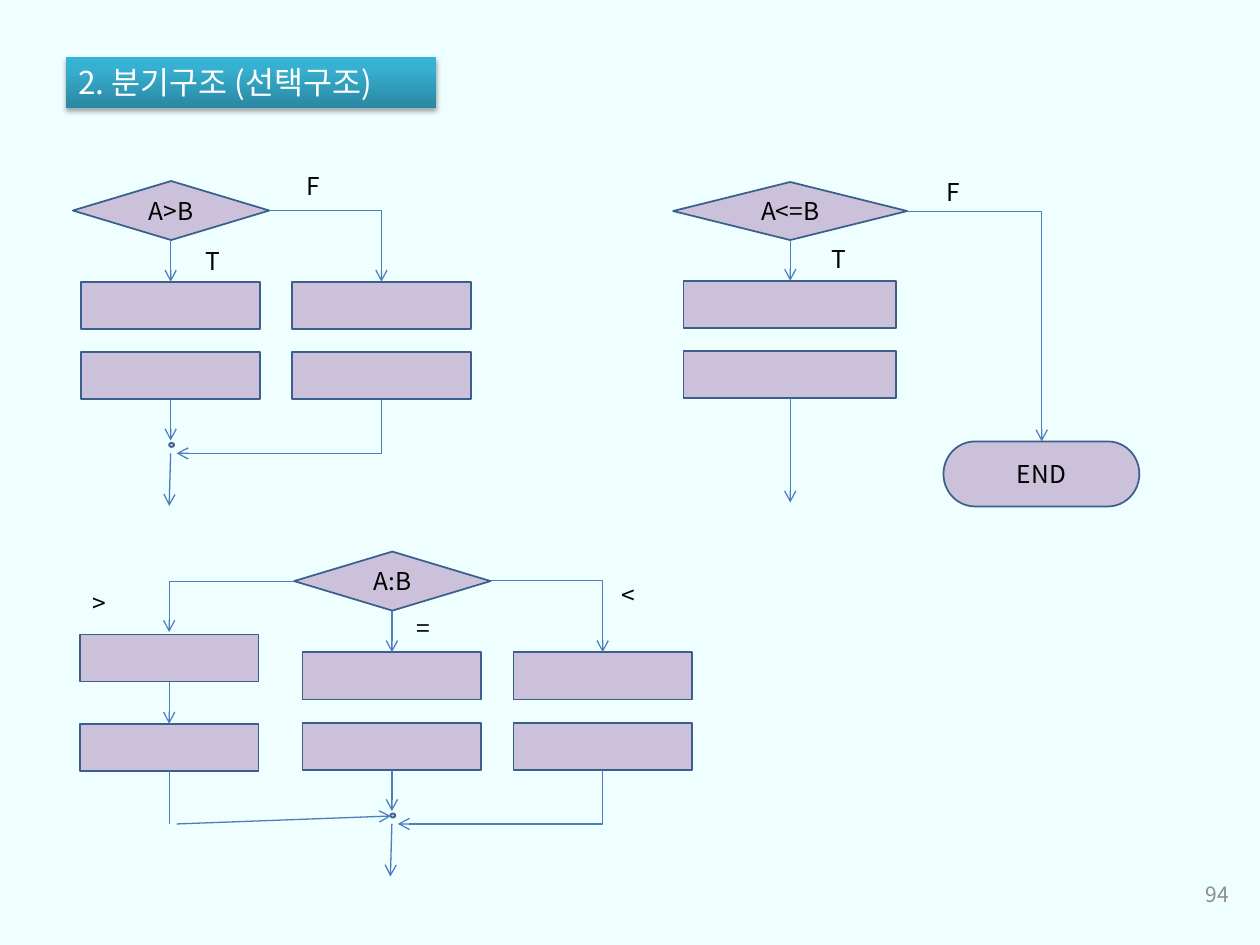
from dataclasses import dataclass

import lxml.etree
import pptx
import pptx.dml.color
import pptx.enum.shapes
import pptx.enum.text
import pptx.oxml.ns
import pptx.util

Cm, Pt = pptx.util.Cm, pptx.util.Pt
Shape = pptx.enum.shapes.MSO_SHAPE
Align = pptx.enum.text.PP_ALIGN
Anchor = pptx.enum.text.MSO_ANCHOR
qn = pptx.oxml.ns.qn

FONT = "Noto Sans CJK KR"
COLORS = {
    "background": "EFFEFE",
    "fill": "CCC1DA",
    "outline": "3A5F8C",
    "arrow": "4B7EBC",
    "text": "000000",
    "title": "FFFFFF",
    "number": "8C8C8C",
    "shadow": "000000",
}
TITLE_STOPS = [(0, "2A88A2"), (80, "37B1D2"), (100, "34B4D6")]


@dataclass
class Node:
    """A flowchart symbol, in centimetres."""
    kind: Shape
    x: float
    y: float
    w: float
    h: float
    text: str = ""


@dataclass
class Link:
    """A line; an elbow turns once, going across or down first."""
    x1: float
    y1: float
    x2: float
    y2: float
    bend: str = ""
    arrow: bool = True


@dataclass
class Label:
    text: str
    x: float
    y: float


def rgb(name: str) -> pptx.dml.color.RGBColor:
    return pptx.dml.color.RGBColor.from_string(COLORS[name])


def sub(parent, tag: str, **attrs):
    return lxml.etree.SubElement(parent, qn(tag), attrs)


def set_text(sp, text: str, size: float, color: str, align=Align.LEFT,
             anchor=Anchor.TOP) -> None:
    tf = sp.text_frame
    tf.word_wrap = True
    tf.vertical_anchor = anchor
    p = tf.paragraphs[0]
    p.text = text
    p.alignment = align
    r = p.runs[0]
    r.font.size = Pt(size)
    r.font.name = FONT
    r.font.color.rgb = rgb(color)
    sub(r.font._element, "a:ea", typeface=FONT)


def draw_node(shapes, n: Node) -> None:
    sp = shapes.add_shape(n.kind, Cm(n.x), Cm(n.y), Cm(n.w), Cm(n.h))
    sp.shadow.inherit = False
    sp.fill.solid()
    sp.fill.fore_color.rgb = rgb("fill")
    sp.line.color.rgb = rgb("outline")
    sp.line.width = Pt(1)
    if n.text:
        set_text(sp, n.text, 14, "text", Align.CENTER, Anchor.MIDDLE)


def draw_link(shapes, k: Link) -> None:
    kind = pptx.enum.shapes.MSO_CONNECTOR
    cx = shapes.add_connector(kind.ELBOW if k.bend else kind.STRAIGHT,
                              Cm(k.x1), Cm(k.y1), Cm(k.x2), Cm(k.y2))
    cx.line.color.rgb = rgb("arrow")
    cx.line.width = Pt(0.75)
    sp_pr = cx._element.spPr
    if k.bend:
        sp_pr.find(qn("a:prstGeom")).set("prst", "bentConnector2")
    if k.bend == "down":  # a quarter turn swaps the sides about the centre
        w, h = abs(k.y2 - k.y1), abs(k.x2 - k.x1)
        cx.left, cx.top = Cm((k.x1 + k.x2 - w) / 2), Cm((k.y1 + k.y2 - h) / 2)
        cx.width, cx.height = Cm(w), Cm(h)
        xfrm = sp_pr.find(qn("a:xfrm"))
        xfrm.attrib.pop("flipH", None)
        xfrm.set("rot", "5400000")
    if k.arrow:
        sub(sp_pr.find(qn("a:ln")), "a:tailEnd", type="arrow")
    sub(sp_pr, "a:effectLst")


def draw_label(shapes, b: Label) -> None:
    sp = shapes.add_textbox(Cm(b.x), Cm(b.y), Cm(1.35), Cm(0.86))
    set_text(sp, b.text, 14, "text")


def draw_all(shapes, parts: list) -> None:
    draw = {Node: draw_node, Link: draw_link, Label: draw_label}
    for part in parts:
        draw[type(part)](shapes, part)


def process(x: float, y: float, w: float = 3.6) -> Node:
    return Node(Shape.FLOWCHART_PROCESS, x, y, w, 0.95)


def two_way(x: float, y: float, text: str) -> list:
    """A decision with a branch below and one to the right that rejoins it."""
    pitch = 4.25
    axis, right = x + 1.97, x + 1.97 + pitch
    boxes = [process(x + 0.17 + col * pitch, y + dy)
             for col in range(2) for dy in (2.03, 3.45)]
    return [
        Node(Shape.FLOWCHART_DECISION, x, y, 3.96, 1.19, text),
        *boxes,
        Link(axis, y + 1.19, axis, y + 2.03),
        Link(x + 3.96, y + 0.59, right, y + 2.03, "across"),
        Link(axis, y + 4.4, axis, y + 5.23),
        Node(Shape.FLOWCHART_CONNECTOR, axis - 0.03, y + 5.28, 0.1, 0.08),
        Link(right, y + 4.4, axis + 0.12, y + 5.49, "down"),
        Link(axis, y + 5.49, axis - 0.03, y + 6.55),
    ]


def draw_title(shapes) -> None:
    sp = shapes.add_shape(Shape.RECTANGLE, Cm(1.33), Cm(1.15), Cm(7.46), Cm(1.02))
    sp.line.fill.background()
    sp.fill.gradient()
    sp.fill.gradient_angle = 90
    sp_pr = sp._element.spPr
    stops = sp_pr.find(qn("a:gradFill")).find(qn("a:gsLst"))
    stops.clear()
    for pos, color in TITLE_STOPS:
        sub(sub(stops, "a:gs", pos=str(pos * 1000)), "a:srgbClr", val=color)
    # Soft shadow below the bar
    shadow = sub(sub(sp_pr, "a:effectLst"), "a:outerShdw", blurRad=str(Pt(3.1)),
                 dist=str(Pt(1.8)), dir="5400000", rotWithShape="0")
    sub(sub(shadow, "a:srgbClr", val=COLORS["shadow"]), "a:alpha", val="35000")
    set_text(sp, "2. 분기구조 (선택구조)", 18, "title")


def main() -> None:
    prs = pptx.Presentation()
    prs.slide_width, prs.slide_height = Cm(25.4), Cm(19.05)
    s = prs.slides.add_slide(prs.slide_layouts[6])
    s.background.fill.solid()
    s.background.fill.fore_color.rgb = rgb("background")
    draw_title(s.shapes)

    # Two-way branch
    if_else = two_way(1.47, 3.65, "A>B") + [
        Label("T", 3.89, 4.84), Label("F", 5.92, 3.33)]

    # Branch that ends when false
    if_end = [
        Node(Shape.FLOWCHART_DECISION, 13.57, 3.67, 4.72, 1.17, "A<=B"),
        process(13.78, 5.66, 4.29),
        process(13.78, 7.08, 4.29),
        Link(15.93, 4.84, 15.93, 5.66),
        Link(18.29, 4.26, 21, 8.9, "across"),
        Link(15.93, 8.03, 15.93, 10.13),
        Node(Shape.FLOWCHART_TERMINATOR, 19.02, 8.9, 3.95, 1.31, "END"),
        Label("T", 16.51, 4.8), Label("F", 18.83, 3.44),
    ]

    # Three-way branch
    three_way = two_way(5.93, 11.12, "A:B") + [
        process(1.61, 12.79), process(1.61, 14.59),
        Link(5.93, 11.72, 3.41, 11.72, arrow=False),
        Link(3.41, 11.72, 3.41, 12.74),
        Link(3.41, 13.74, 3.41, 14.59),
        Link(3.41, 15.54, 3.41, 16.61, arrow=False),
        Link(3.56, 16.61, 7.88, 16.45),
        Label(">", 1.61, 11.72), Label("=", 8.15, 12.24), Label("<", 12.27, 11.57),
    ]
    for parts in (if_else, if_end, three_way):
        draw_all(s.shapes.add_group_shape().shapes, parts)

    # Page number
    sp = s.shapes.add_textbox(Cm(19.1), Cm(17.52), Cm(5.92), Cm(1.01))
    set_text(sp, "94", 12, "number", Align.RIGHT, Anchor.MIDDLE)
    prs.save("out.pptx")


if __name__ == "__main__":
    main()
